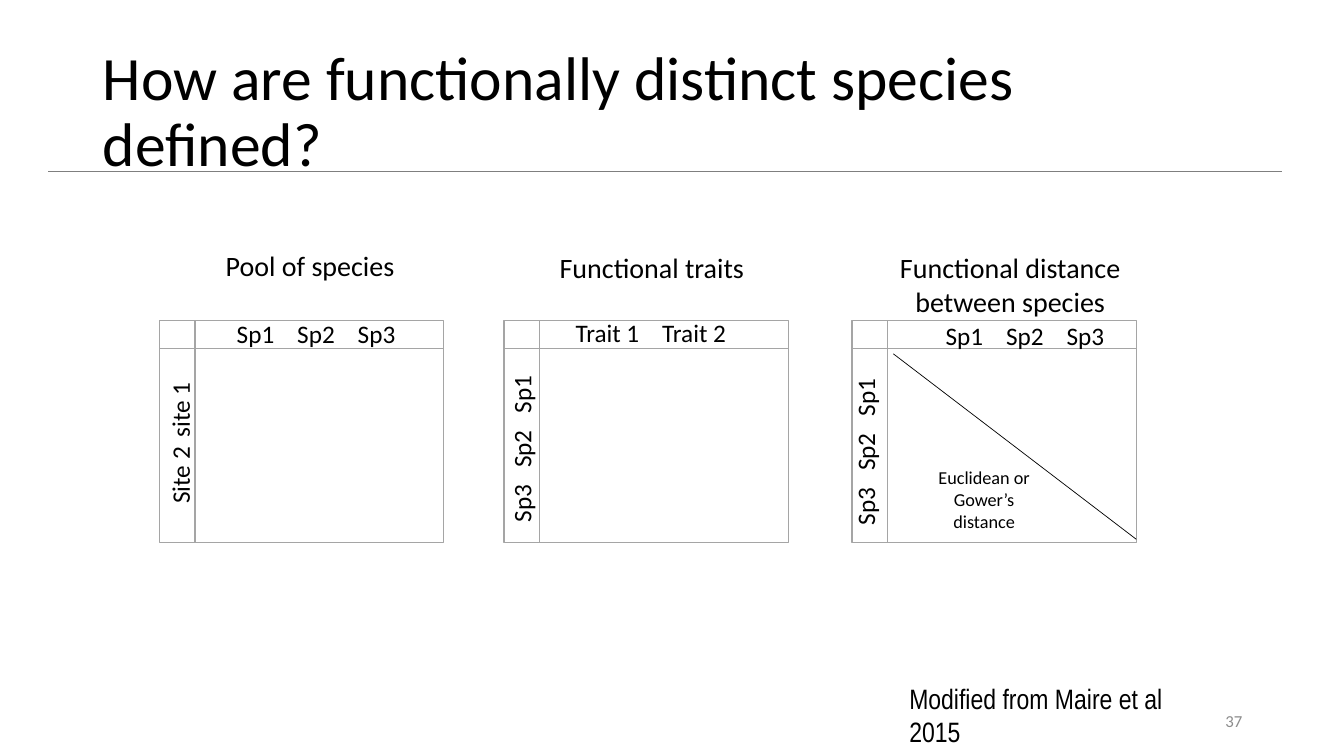
from lxml.etree import SubElement
from pptx import Presentation
from pptx.dml.color import RGBColor
from pptx.enum.shapes import MSO_CONNECTOR, MSO_SHAPE
from pptx.enum.text import MSO_ANCHOR, PP_ALIGN
from pptx.oxml.ns import qn
from pptx.util import Pt

SCALE = 9144  # EMU per px, 100 px to the inch
BLACK = RGBColor(0, 0, 0)
WHITE = RGBColor(255, 255, 255)
GREY = RGBColor(0xA5, 0xA5, 0xA5)
RULE_GREY = RGBColor(0x7F, 0x7F, 0x7F)
NUMBER_GREY = RGBColor(0x8C, 0x8C, 0x8C)

# Content: box = left, top, width, height in px
TITLE = "How are functionally distinct species defined?"
TITLE_BOX = (92, 40, 1150, 145)
TITLE_RULE = (48, 170, 1272, 170)
DIAGONAL = (886, 351, 1127, 535)
MATRIX_TOP, MATRIX_WIDTH, MATRIX_HEIGHT = 318, 282, 220
MATRIX_LEFTS = (158, 500, 845)

CAPTIONS = [
    (["Pool of species"], (180, 242, 255, 44)),
    (["Functional traits"], (534, 244, 225, 44)),
    (["Functional distance", "between species"], (868, 244, 268, 77)),
]
# Matrix labels: names, box, distance between names, rotation
LABELS = [
    (["Sp1", "Sp2", "Sp3"], (225, 311, 180, 40), 60, 0),
    (["Trait 1", "Trait 2"], (561, 310, 171, 40), 86, 0),
    (["Sp1", "Sp2", "Sp3"], (928, 313, 180, 40), 60, 0),
    (["Site 2", "site 1"], (107, 418, 143, 40), 66, 270),
    (["Sp3", "Sp2", "Sp1"], (433, 424, 168, 40), 54, 270),
    (["Sp3", "Sp2", "Sp1"], (774, 427, 168, 40), 54, 270),
]
METRIC = (["Euclidean or Gower’s", "distance"], (912, 458, 128, 76))
CREDIT = (["Modified from Maire et al 2015"], (892, 671, 286, 44))
PAGE_NUMBER = (["37"], (942, 695, 300, 40))


def emu(*lengths):
    return [length * SCALE for length in lengths]


def add_run(paragraph, text, size, color=BLACK, font="Calibri"):
    run = paragraph.add_run()
    run.text = text
    run.font.size = Pt(size)
    run.font.name = font
    run.font.color.rgb = color


def add_text(slide, lines, box, size, align=PP_ALIGN.LEFT, color=BLACK, font="Calibri"):
    shape = slide.shapes.add_textbox(*emu(*box))
    frame = shape.text_frame
    frame.word_wrap = True
    for index, line in enumerate(lines):
        paragraph = frame.add_paragraph() if index else frame.paragraphs[0]
        paragraph.alignment = align
        add_run(paragraph, line, size, color, font)
    return shape


def add_label(slide, names, box, pitch, rotation):
    """One line of names, evenly spaced by tab stops."""
    shape = add_text(slide, ["\t".join(names)], box, 18)
    shape.rotation = rotation
    shape.text_frame.margin_right = 0
    properties = shape.text_frame.paragraphs[0]._p.get_or_add_pPr()
    stops = SubElement(properties, qn("a:tabLst"))
    for index in range(1, len(names)):
        SubElement(stops, qn("a:tab"), pos=str(index * pitch * SCALE), algn="l")


def add_line(slide, ends, color):
    line = slide.shapes.add_connector(MSO_CONNECTOR.STRAIGHT, *emu(*ends))
    line.line.color.rgb = color
    line.line.width = Pt(0.5)
    SubElement(line._element.spPr, qn("a:effectLst"))


def add_matrix(slide, left):
    matrix = slide.shapes.add_shape(
        MSO_SHAPE.FLOWCHART_INTERNAL_STORAGE,
        *emu(left, MATRIX_TOP, MATRIX_WIDTH, MATRIX_HEIGHT))
    matrix.shadow.inherit = False
    matrix.fill.solid()
    matrix.fill.fore_color.rgb = WHITE
    matrix.line.color.rgb = GREY
    matrix.line.width = Pt(1)


def main():
    presentation = Presentation()
    presentation.slide_width, presentation.slide_height = emu(1333, 750)
    slide = presentation.slides.add_slide(presentation.slide_layouts[5])

    # Title and rule
    title = slide.shapes.title
    title.left, title.top, title.width, title.height = emu(*TITLE_BOX)
    title.text_frame.word_wrap = True
    title.text_frame.vertical_anchor = MSO_ANCHOR.MIDDLE
    paragraph = title.text_frame.paragraphs[0]
    paragraph.alignment = PP_ALIGN.LEFT
    paragraph.line_spacing = 0.9
    add_run(paragraph, TITLE, 44)
    add_line(slide, TITLE_RULE, RULE_GREY)

    # Matrices with captions and labels
    for left in MATRIX_LEFTS:
        add_matrix(slide, left)
    for lines, box in CAPTIONS:
        add_text(slide, lines, box, 20, PP_ALIGN.CENTER)
    for label in LABELS:
        add_label(slide, *label)

    # Distance matrix
    add_line(slide, DIAGONAL, BLACK)
    add_text(slide, *METRIC, 13, PP_ALIGN.CENTER)

    # Footer
    add_text(slide, *CREDIT, 20, font="Arial Narrow")
    number = add_text(slide, *PAGE_NUMBER, 12, PP_ALIGN.RIGHT, NUMBER_GREY)
    number.text_frame.vertical_anchor = MSO_ANCHOR.MIDDLE

    presentation.save("out.pptx")


if __name__ == "__main__":
    main()
